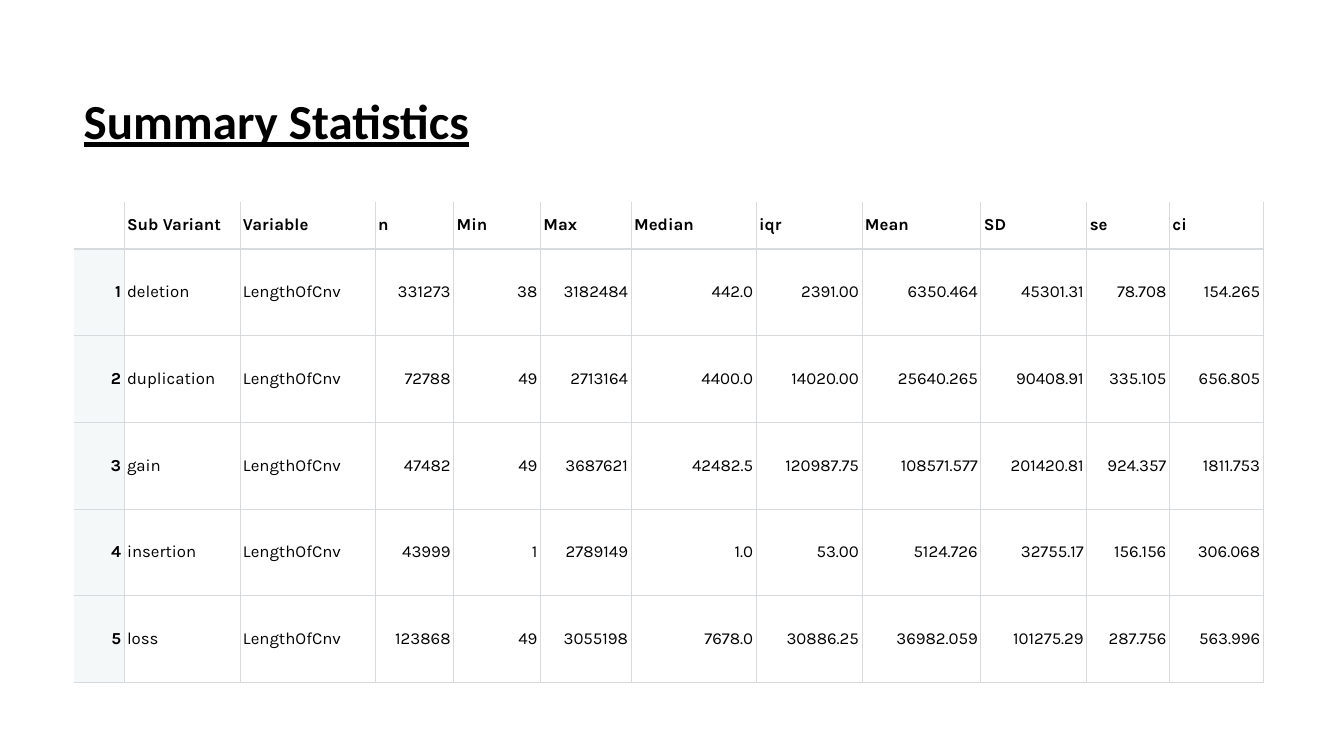
from lxml import etree
from pptx import Presentation
from pptx.dml.color import RGBColor
from pptx.enum import text
from pptx.oxml import ns
from pptx.util import Inches, Pt

COLORS = {"ink": "000000", "grid": "D6DADC", "index": "F4F8F9", "page": "FFFFFF"}
NO_STYLE = "{2D5ABB26-0587-4C30-8999-92F81FD0307C}"

COLUMN_WIDTHS = [0.5, 1.15, 1.34, 0.78, 0.86, 0.9, 1.24, 1.05, 1.18, 1.05, 0.82, 0.93]
HEADER_HEIGHT, ROW_HEIGHT = 0.47, 0.86
FIRST_NUMBER_COLUMN = 3

HEADER = ["", "Sub Variant", "Variable", "n", "Min", "Max",
          "Median", "iqr", "Mean", "SD", "se", "ci"]
STATISTICS = [
    ["deletion", "331273", "38", "3182484", "442.0", "2391.00",
     "6350.464", "45301.31", "78.708", "154.265"],
    ["duplication", "72788", "49", "2713164", "4400.0", "14020.00",
     "25640.265", "90408.91", "335.105", "656.805"],
    ["gain", "47482", "49", "3687621", "42482.5", "120987.75",
     "108571.577", "201420.81", "924.357", "1811.753"],
    ["insertion", "43999", "1", "2789149", "1.0", "53.00",
     "5124.726", "32755.17", "156.156", "306.068"],
    ["loss", "123868", "49", "3055198", "7678.0", "30886.25",
     "36982.059", "101275.29", "287.756", "563.996"],
]

TITLE_FONT = {"name": "Calibri", "size": Pt(35), "bold": True, "underline": True}
CELL_FONT = {"name": "Karla", "size": Pt(12)}
CELL_FORMAT = {
    "vertical_anchor": text.MSO_ANCHOR.MIDDLE,
    **{f"margin_{side}": Inches(0.03) for side in ("left", "top", "right", "bottom")},
}


def rgb(key):
    return RGBColor.from_string(COLORS[key])


def apply_format(target, values):
    for attribute, value in values.items():
        setattr(target, attribute, value)


def format_font(font, values):
    apply_format(font, values)
    font.color.rgb = rgb("ink")


def add_borders(cell, widths):
    """Draw each side of the cell; a width of 0 leaves that side open."""
    properties = cell._tc.get_or_add_tcPr()
    for side, width in widths.items():
        line = etree.SubElement(properties, ns.qn(f"a:ln{side}"), w=str(Pt(width)))
        if width:
            fill = etree.SubElement(line, ns.qn("a:solidFill"))
            etree.SubElement(fill, ns.qn("a:srgbClr"), val=COLORS["grid"])
        else:
            etree.SubElement(line, ns.qn("a:noFill"))


def fill_cell(cell, wording, row, column):
    is_header, is_index = row == 0, column == 0
    apply_format(cell, CELL_FORMAT)
    add_borders(cell, {
        "L": 0 if is_index else 0.75,
        "R": 0.75,
        "T": {0: 0, 1: 1}.get(row, 0.75),
        "B": 1 if is_header else 0.75,
    })
    if is_index and not is_header:
        cell.fill.solid()
        cell.fill.fore_color.rgb = rgb("index")
    else:
        cell.fill.background()

    paragraph = cell.text_frame.paragraphs[0]
    if not is_header and (is_index or column >= FIRST_NUMBER_COLUMN):
        paragraph.alignment = text.PP_ALIGN.RIGHT
    if wording:
        run = paragraph.add_run()
        run.text = wording
        format_font(run.font, {**CELL_FONT, "bold": is_header or is_index})


def add_title(slide, wording):
    title = slide.shapes.title
    apply_format(title, {"left": Inches(0.73), "top": Inches(0.85),
                         "width": Inches(5.18), "height": Inches(0.69)})
    title.text_frame.text = wording
    apply_format(title.text_frame, {"word_wrap": True,
                                    "auto_size": text.MSO_AUTO_SIZE.NONE,
                                    "vertical_anchor": text.MSO_ANCHOR.TOP})
    paragraph = title.text_frame.paragraphs[0]
    apply_format(paragraph, {"alignment": text.PP_ALIGN.LEFT, "line_spacing": 1.0})
    format_font(paragraph.runs[0].font, TITLE_FONT)


def add_statistics_table(slide, rows):
    height = HEADER_HEIGHT + ROW_HEIGHT * (len(rows) - 1)
    frame = slide.shapes.add_table(
        len(rows), len(COLUMN_WIDTHS), Inches(0.73), Inches(2),
        Inches(sum(COLUMN_WIDTHS)), Inches(height))
    statistics = frame.table
    apply_format(statistics, {"first_row": False, "horz_banding": False})
    statistics._tbl.tblPr.find(ns.qn("a:tableStyleId")).text = NO_STYLE

    for column, width in zip(statistics.columns, COLUMN_WIDTHS):
        column.width = Inches(width)
    for i, values in enumerate(rows):
        statistics.rows[i].height = Inches(ROW_HEIGHT if i else HEADER_HEIGHT)
        for j, wording in enumerate(values):
            fill_cell(statistics.cell(i, j), wording, i, j)


def main():
    deck = Presentation()
    apply_format(deck, {"slide_width": Inches(13.33), "slide_height": Inches(7.5)})
    slide = deck.slides.add_slide(deck.slide_layouts[5])
    slide.background.fill.solid()
    slide.background.fill.fore_color.rgb = rgb("page")

    # Heading
    add_title(slide, "Summary Statistics")

    # Numbered rows under the header
    rows = [HEADER] + [[str(number), variant, "LengthOfCnv", *numbers]
                       for number, (variant, *numbers) in enumerate(STATISTICS, 1)]
    add_statistics_table(slide, rows)

    deck.save("out.pptx")


if __name__ == "__main__":
    main()
